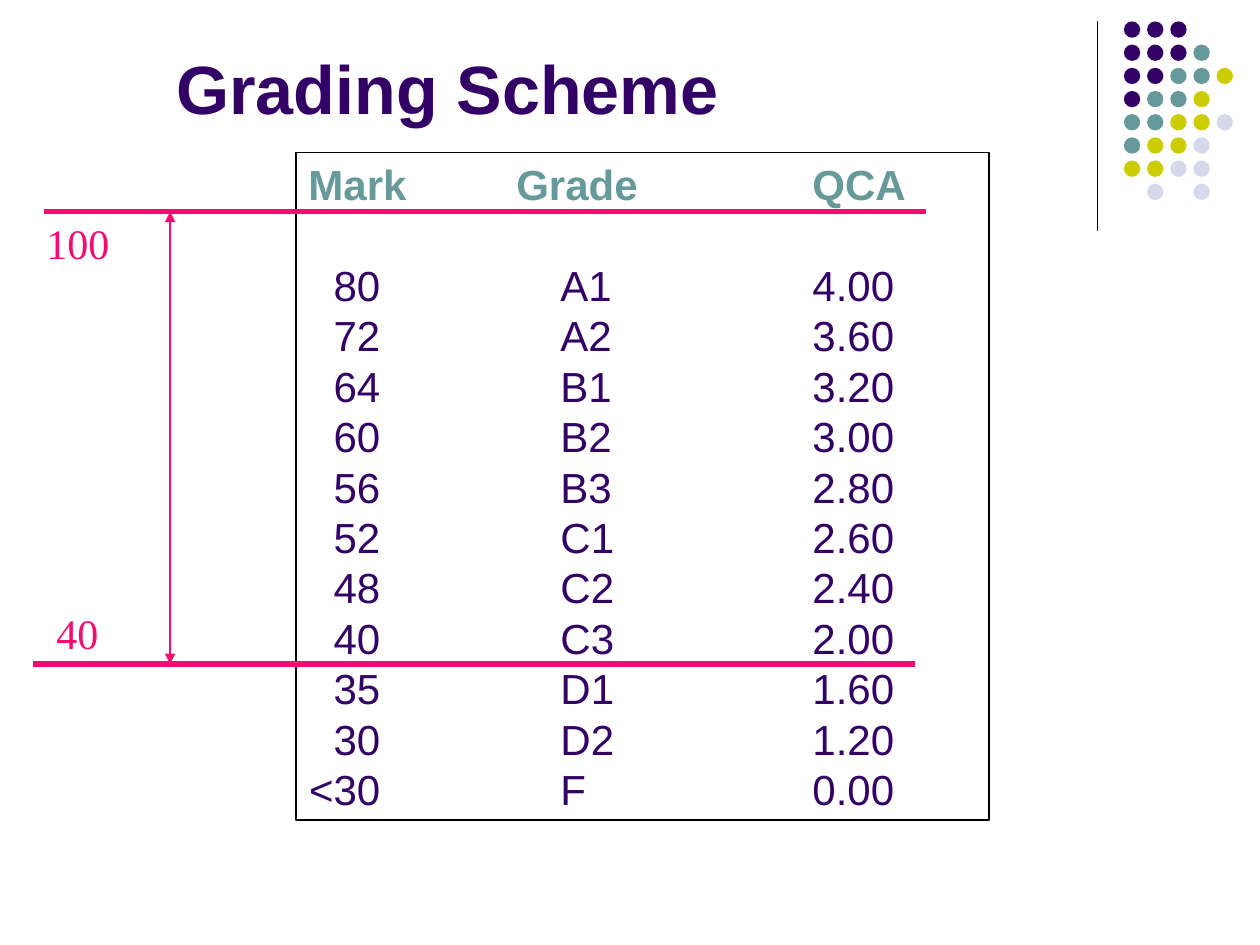
from dataclasses import dataclass
from lxml import etree
from pptx import Presentation
from pptx.dml.color import RGBColor
from pptx.enum import shapes, text
from pptx.oxml import ns
from pptx.util import Inches, Pt


@dataclass(frozen=True)
class Theme:
    ink: str = "330066"
    teal: str = "669999"
    lime: str = "CCCC00"
    pale: str = "D8D8EC"
    pink: str = "F70B70"
    black: str = "000000"
    sans: str = "Arial"
    serif: str = "Times New Roman"
    head: float = 39
    body: float = 24
    pitch: float = 28.8
    thin: float = 0.75
    thick: float = 3


LOOK = Theme()
DOTS = ["ppp", "pppt", "ppttl", "pttl", "ttllw", "tllw", "llww", " w w"]
HUES = {"p": LOOK.ink, "t": LOOK.teal, "l": LOOK.lime, "w": LOOK.pale}
HEADS = ["Mark", "Grade", "QCA"]
MARKS = [
    ("80", "A1", "4.00"), ("72", "A2", "3.60"), ("64", "B1", "3.20"),
    ("60", "B2", "3.00"), ("56", "B3", "2.80"), ("52", "C1", "2.60"),
    ("48", "C2", "2.40"), ("40", "C3", "2.00"), ("35", "D1", "1.60"),
    ("30", "D2", "1.20"), ("<30", "F", "0.00"),
]


def rgb(hue):
    return RGBColor.from_string(hue)


def put(item, form):
    for key, value in form.items():
        setattr(item, key, value)


def write(para, words, hue, size=LOOK.body, face=LOOK.sans, bold=False):
    run = para.add_run()
    run.text = words
    put(run.font, {"size": Pt(size), "name": face, "bold": bold})
    run.font.color.rgb = rgb(hue)


def add_tabs(para, stops):
    group = etree.SubElement(para._p.get_or_add_pPr(), ns.qn("a:tabLst"))
    for place, side in stops:
        etree.SubElement(group, ns.qn("a:tab"), pos=str(Inches(place)), algn=side)


def add_line(slide, start, end, hue, width, arrows=False):
    line = slide.shapes.add_connector(
        shapes.MSO_CONNECTOR.STRAIGHT, *map(Inches, start + end))
    line.line.color.rgb = rgb(hue)
    line.line.width = Pt(width)
    if arrows:
        for tip in ("a:headEnd", "a:tailEnd"):
            etree.SubElement(line.line._ln, ns.qn(tip), type="triangle")
    etree.SubElement(line._element.spPr, ns.qn("a:effectLst"))


def add_dots(slide, left, top, tall):
    add_line(slide, (left, top), (left, top + tall), LOOK.black, LOOK.thin)
    step, size = 0.184, 0.13
    for row, codes in enumerate(DOTS):
        for col, code in enumerate(codes):
            if code == " ":
                continue
            spot = (left + 0.21 + col * step, top + row * step, size, size)
            dot = slide.shapes.add_shape(
                shapes.MSO_SHAPE.OVAL, *map(Inches, spot))
            dot.shadow.inherit = False
            dot.fill.solid()
            dot.fill.fore_color.rgb = rgb(HUES[code])
            dot.line.fill.background()


def add_title(slide, left, top, wide, tall):
    title = slide.shapes.title
    put(title, {"left": Inches(left), "top": Inches(top),
                "width": Inches(wide), "height": Inches(tall)})
    put(title.text_frame, {"vertical_anchor": text.MSO_ANCHOR.BOTTOM,
                           "auto_size": text.MSO_AUTO_SIZE.NONE,
                           "word_wrap": True})
    para = title.text_frame.paragraphs[0]
    para.alignment = text.PP_ALIGN.LEFT
    write(para, "Grading Scheme", LOOK.ink, LOOK.head, bold=True)


def add_marks(slide, left, top, wide, tall):
    box = slide.shapes.add_shape(
        shapes.MSO_SHAPE.RECTANGLE, *map(Inches, (left, top, wide, tall)))
    box.shadow.inherit = False
    box.fill.background()
    box.line.color.rgb = rgb(LOOK.black)
    box.line.width = Pt(LOOK.thin)
    frame = box.text_frame
    put(frame, {"vertical_anchor": text.MSO_ANCHOR.TOP, "word_wrap": True})
    form = {"alignment": text.PP_ALIGN.LEFT, "line_spacing": Pt(LOOK.pitch)}
    para = frame.paragraphs[0]
    add_tabs(para, [(1.65, "l"), (4, "l")])
    put(para, form)
    write(para, "\t".join(HEADS), LOOK.teal, bold=True)
    for row, cells in enumerate(MARKS):
        para = frame.add_paragraph()
        add_tabs(para, [(0.57, "r"), (2, "l"), (4, "l")])
        put(para, form)
        if row == 0:
            para.space_before = Pt(LOOK.pitch)
        write(para, "\t" + "\t".join(cells), LOOK.ink)


def add_label(slide, words, left, top, wide, tall):
    box = slide.shapes.add_textbox(*map(Inches, (left, top, wide, tall)))
    put(box.text_frame, {"word_wrap": False,
                         "auto_size": text.MSO_AUTO_SIZE.SHAPE_TO_FIT_TEXT})
    write(box.text_frame.paragraphs[0], words, LOOK.pink, face=LOOK.serif)


def add_range(slide, top, low):
    for left, y in ((0.35, top), (0.26, low)):
        add_line(slide, (left, y), (left + 7, y), LOOK.pink, LOOK.thick)
    add_label(slide, "100", 0.27, top, 0.7, 0.5)
    add_label(slide, "40", 0.35, low - 0.5, 0.53, 0.5)
    add_line(slide, (1.35, top), (1.35, low), LOOK.pink, LOOK.thin, True)


def main():
    deck = Presentation()
    put(deck, {"slide_width": Inches(10), "slide_height": Inches(7.5)})
    slide = deck.slides.add_slide(deck.slide_layouts.get_by_name("Title Only"))
    add_dots(slide, 8.71, 0.17, 1.66)
    add_title(slide, 1.3, 0.48, 8.5, 0.59)
    add_marks(slide, 2.35, 1.21, 5.5, 5.3)
    add_range(slide, 1.68, 5.27)
    deck.save("out.pptx")


if __name__ == "__main__":
    main()
